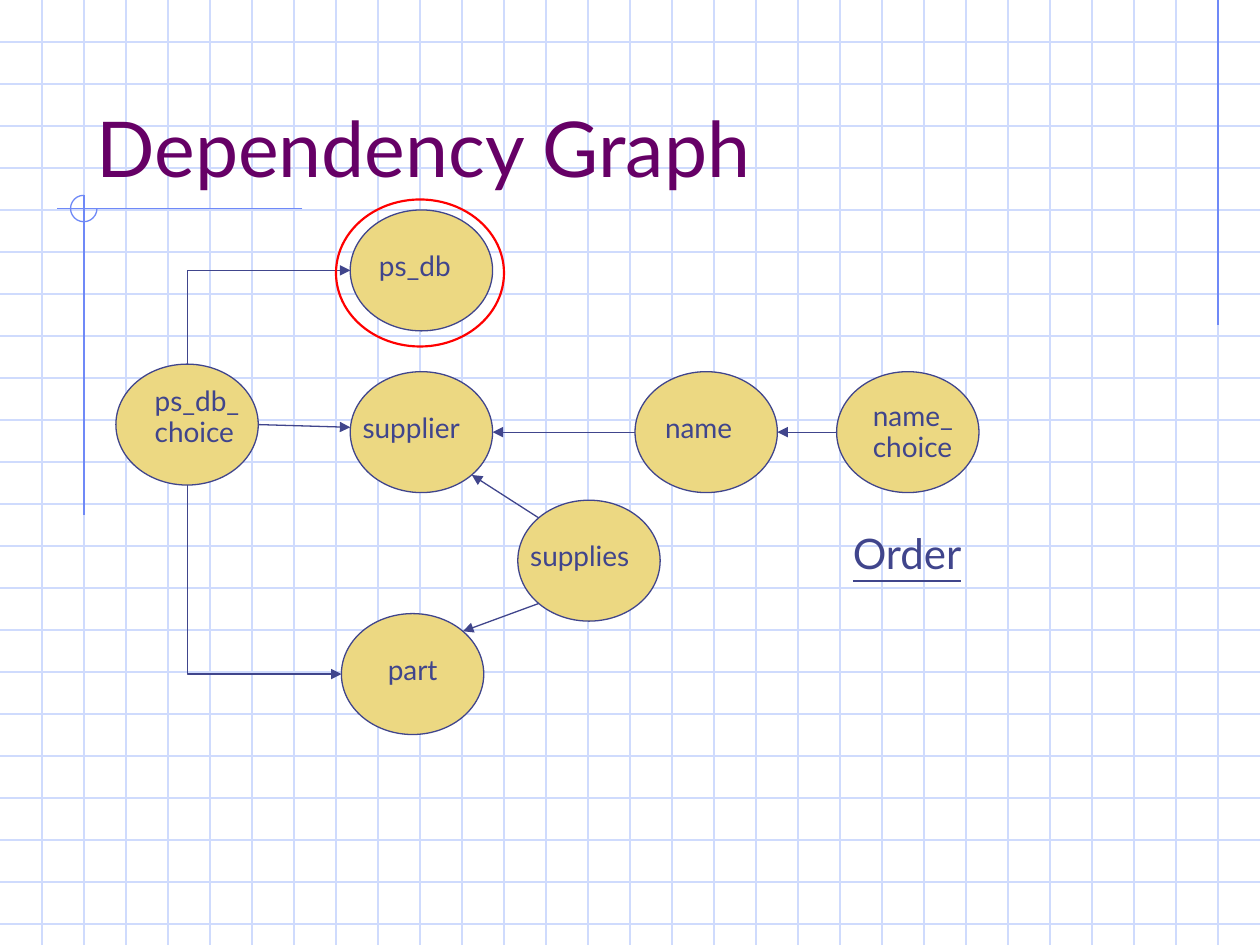
from dataclasses import dataclass

from lxml import etree
from pptx import Presentation
from pptx import util as u
from pptx.dml.color import RGBColor
from pptx.enum import shapes, text
from pptx.oxml.ns import qn

COLUMNS, ROWS = 30, 22.5  # squares of the paper, a third of an inch each


@dataclass(frozen=True)
class Theme:
    font: str = "Lato"
    title: str = "660066"
    ink: str = "40458C"
    node: str = "ECD882"
    grid: str = "CFDBFD"
    rule: str = "6F89F7"
    ring: str = "FF0000"
    title_size: int = 44
    order_size: int = 24
    label_size: int = 16
    thin: float = 0.75
    thick: float = 1.25


@dataclass(frozen=True)
class Box:
    column: float
    row: float
    width: float
    height: float

    def inner(self, column, row, width, height):
        return Box(self.column + column, self.row + row, width, height)

    def at(self, across, down):
        """Point at a share of the width and of the height."""
        return self.column + across * self.width, self.row + down * self.height

    def lengths(self):
        return [cells(v) for v in (self.column, self.row, self.width, self.height)]


THEME = Theme()
NODE_WIDTH, NODE_HEIGHT = 3.39, 2.88
NEAR, FAR = 0.146, 0.854  # shares where a diagonal meets an ellipse

# name: (column, row, label column, label row, label width, label lines)
NODES = {
    "part": (5.37, 9.61, 0.81, 0.77, 2.19, ["part"]),
    "supplier": (5.58, 3.85, 0, 0.77, 3.39, ["supplier"]),
    "name": (12.36, 3.85, 0.42, 0.77, 2.58, ["name"]),
    "supplies": (9.57, 6.91, 0, 0.77, 3.39, ["supplies"]),
    "ps_db": (5.58, 0, 0.39, 0.77, 2.79, ["ps_db"]),
    "name_choice": (17.16, 3.85, 0.57, 0.9, 2.7, ["name_", "choice"]),
    "ps_db_choice": (0, 3.67, 0.63, 0.72, 3.09, ["ps_db_", "choice"]),
}
# (from node, share of its box, to node, share of its box)
STRAIGHT_EDGES = [
    ("supplies", (NEAR, FAR), "part", (FAR, NEAR)),
    ("supplies", (NEAR, NEAR), "supplier", (FAR, FAR)),
    ("ps_db_choice", (1, 0.5), "supplier", (0, 0.46)),
    ("name_choice", (0, 0.5), "name", (1, 0.5)),
    ("name", (0, 0.5), "supplier", (1, 0.5)),
]
BENT_EDGES = [
    ("ps_db_choice", (0.5, 1), "part", (0, 0.5)),
    ("ps_db_choice", (0.5, 0), "ps_db", (0, 0.5)),
]


def cells(count):
    return u.Inches(count / 3)


def add_line(parent, start, end, color, kind=shapes.MSO_CONNECTOR.STRAIGHT, arrow=False):
    connector = parent.add_connector(kind, *[cells(v) for v in (*start, *end)])
    connector.line.color.rgb = RGBColor.from_string(color)
    connector.line.width = u.Pt(THEME.thin)
    properties = connector._element.spPr
    if arrow:
        etree.SubElement(properties.find(qn("a:ln")), qn("a:tailEnd"), type="triangle")
    etree.SubElement(properties, qn("a:effectLst"))
    return connector


def add_bent_arrow(parent, start, end, color):
    """One-corner arrow that first runs down or up, then to the right."""
    width, height = abs(end[1] - start[1]), end[0] - start[0]
    middle = (start[0] + end[0]) / 2, (start[1] + end[1]) / 2
    corners = [(middle[0] + side * width / 2, middle[1] + side * height / 2) for side in (-1, 1)]
    connector = add_line(parent, *corners, color, shapes.MSO_CONNECTOR.ELBOW, arrow=True)
    properties = connector._element.spPr
    properties.find(qn("a:prstGeom")).set("prst", "bentConnector2")
    frame = properties.find(qn("a:xfrm"))
    downward = end[1] > start[1]
    frame.set("rot", str((270 if downward else 90) * 60000))
    frame.set("flipH", "1")
    if not downward:
        frame.set("flipV", "1")


def add_outline(parent, preset, box, color, fill=None, width=THEME.thin):
    shape = parent.add_shape(preset, *box.lengths())
    shape.shadow.inherit = False
    if fill:
        shape.fill.solid()
        shape.fill.fore_color.rgb = RGBColor.from_string(fill)
    else:
        shape.fill.background()
    shape.line.color.rgb = RGBColor.from_string(color)
    shape.line.width = u.Pt(width)
    return shape


def add_text(parent, box, lines, size, color, spacing=None, underline=None, grow=True):
    frame = parent.add_textbox(*box.lengths()).text_frame
    frame.word_wrap = True
    if grow:
        frame.auto_size = text.MSO_AUTO_SIZE.SHAPE_TO_FIT_TEXT
    for index, line in enumerate(lines):
        paragraph = frame.add_paragraph() if index else frame.paragraphs[0]
        if index:
            paragraph.space_before = u.Pt(10)
        paragraph.line_spacing = spacing
        run = paragraph.add_run()
        run.text = line
        run.font.name = THEME.font
        run.font.size = u.Pt(size)
        run.font.color.rgb = RGBColor.from_string(color)
        run.font.underline = underline
    return frame


def draw_paper(slide, box):
    group = slide.shapes.add_group_shape().shapes
    right, bottom = box.at(1, 1)
    # Squares
    for row in range(1, int(box.height) + 1):
        add_line(group, (box.column, row), (right, row), THEME.grid)
    for column in range(1, int(box.width)):
        add_line(group, (column, box.row), (column, bottom), THEME.grid)
    # Rules and their crossing mark
    for start, end in [((29, 0), (29, 7.74)), ((7.2, 4.97), (1.36, 4.97)), ((2, 4.65), (2, 12.27))]:
        add_line(group, start, end, THEME.rule)
    mark = add_outline(group, shapes.MSO_SHAPE.ARC, box.inner(1.68, 4.65, 0.63, 0.63), THEME.rule)
    mark.adjustments[0], mark.adjustments[1] = 0, 162  # right side round to the top


def draw_title(slide, box):
    frame = add_text(slide.shapes, box, ["Dependency Graph"], THEME.title_size, THEME.title, grow=False)
    frame.vertical_anchor = text.MSO_ANCHOR.BOTTOM


def draw_graph(slide, box):
    group = slide.shapes.add_group_shape().shapes
    # Nodes
    nodes = {}
    for name, (column, row, label_column, label_row, label_width, lines) in NODES.items():
        node = nodes[name] = box.inner(column, row, NODE_WIDTH, NODE_HEIGHT)
        add_outline(group, shapes.MSO_SHAPE.OVAL, node, THEME.ink, THEME.node)
        label = node.inner(label_column, label_row, label_width, 0.84 + 0.27 * len(lines))
        add_text(group, label, lines, THEME.label_size, THEME.ink, 0.4 if len(lines) > 1 else None)
    # Edges
    for source, leave, target, reach in STRAIGHT_EDGES:
        add_line(group, nodes[source].at(*leave), nodes[target].at(*reach), THEME.ink, arrow=True)
    for source, leave, target, reach in BENT_EDGES:
        add_bent_arrow(group, nodes[source].at(*leave), nodes[target].at(*reach), THEME.ink)
    # Heading for the order, and the ring round the first node
    add_text(group, box.inner(17.25, 7.99, 9.51, 0.84), ["Order"],
             THEME.order_size, THEME.ink, 0.45, True)
    add_outline(slide.shapes, shapes.MSO_SHAPE.OVAL, box.inner(5.24, -0.25, 4, 3.5),
                THEME.ring, width=THEME.thick)


def main():
    presentation = Presentation()
    presentation.slide_width, presentation.slide_height = cells(COLUMNS), cells(ROWS)
    slide = presentation.slides.add_slide(presentation.slide_layouts[6])
    draw_paper(slide, Box(0, 0, COLUMNS, ROWS))
    draw_title(slide, Box(2, 1, 25.5, 3.75))
    draw_graph(slide, Box(2.76, 5, 26.76, 12.5))
    presentation.save("out.pptx")


if __name__ == "__main__":
    main()
